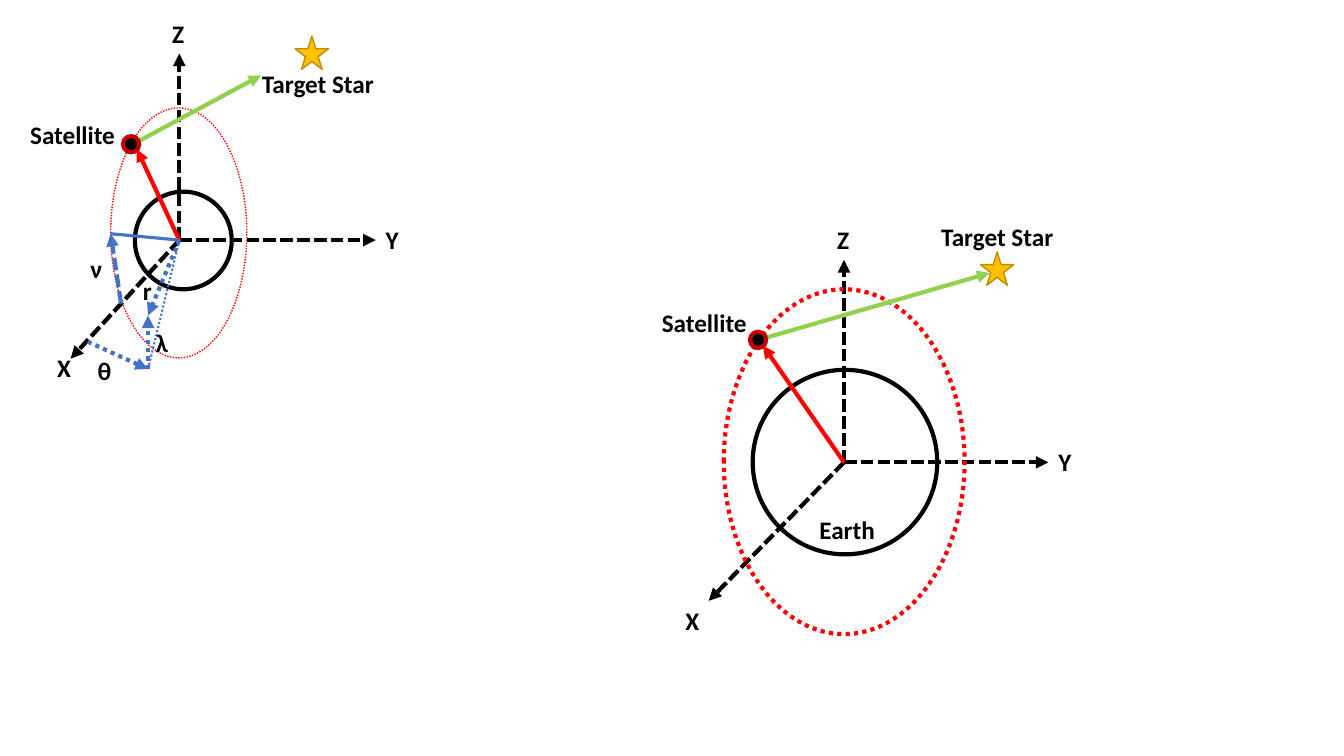
from dataclasses import dataclass

from lxml.etree import SubElement
from pptx import Presentation
from pptx.dml.color import RGBColor
from pptx.enum.dml import MSO_LINE
from pptx.enum.shapes import MSO_CONNECTOR, MSO_SHAPE as Preset
from pptx.enum.text import MSO_AUTO_SIZE
from pptx.oxml.ns import qn
from pptx.util import Cm, Pt

DASHED, DOTTED = MSO_LINE.SQUARE_DOT, MSO_LINE.ROUND_DOT


@dataclass(frozen=True)
class Theme:
    font: str = "Calibri"
    label_size: float = 18
    thick: float = 3
    medium: float = 2.25
    fine: float = 1.5
    hairline: float = 1
    ink: str = "000000"
    orbit: str = "FF0000"
    satellite_rim: str = "C00000"
    sight: str = "92D050"
    angle: str = "4472C4"
    star: str = "FFC000"
    star_rim: str = "BD8E00"


@dataclass(frozen=True)
class System:
    """Places of one orbit diagram in centimetres; labels are left, top."""
    origin: tuple
    axis_tips: dict
    axis_labels: dict
    earth: tuple
    orbit: tuple
    radius_tip: tuple
    sight: tuple
    satellite: tuple
    satellite_label: tuple
    star: tuple
    star_label: tuple


class Diagram:
    LABEL_HEIGHT = 1.03
    SATELLITE_SIZE = 0.41
    STAR_SIZE = 0.84
    LABEL_WIDTHS = {"X": 0.86, "Y": 0.84, "Z": 0.81, "Satellite": 2.67,
                    "Target Star": 3.35, "Earth": 1.93,
                    "θ": 0.86, "λ": 0.81, "r": 0.74, "ν": 0.81}

    def __init__(self, slide, theme):
        self.theme = theme
        self.shapes = slide.shapes.add_group_shape().shapes

    def style_line(self, line, color, width, dash):
        line.color.rgb = RGBColor.from_string(color)
        line.width = Pt(width)
        if dash is not None:
            line.dash_style = dash

    def outline(self, preset, box, color, width=None, fill=None, dash=None):
        shape = self.shapes.add_shape(preset, *map(Cm, box))
        shape.shadow.inherit = False
        if fill:
            shape.fill.solid()
            shape.fill.fore_color.rgb = RGBColor.from_string(fill)
        else:
            shape.fill.background()
        self.style_line(shape.line, color, width or self.theme.thick, dash)

    def line(self, start, end, color, width=None, dash=None, arrow=True):
        connector = self.shapes.add_connector(
            MSO_CONNECTOR.STRAIGHT, *map(Cm, (*start, *end)))
        self.style_line(connector.line, color, width or self.theme.thick, dash)
        properties = connector._element.spPr
        if arrow:
            SubElement(properties.find(qn("a:ln")), qn("a:tailEnd"), type="triangle")
        SubElement(properties, qn("a:effectLst"))

    def label(self, text, place):
        size = self.LABEL_WIDTHS[text], self.LABEL_HEIGHT
        frame = self.shapes.add_textbox(*map(Cm, (*place, *size))).text_frame
        frame.word_wrap = False
        frame.auto_size = MSO_AUTO_SIZE.SHAPE_TO_FIT_TEXT
        paragraph = frame.paragraphs[0]
        paragraph.text = text
        font = paragraph.font
        font.name, font.size, font.bold = self.theme.font, Pt(self.theme.label_size), True
        font.color.rgb = RGBColor.from_string(self.theme.ink)

    def system(self, system, orbit_width):
        theme = self.theme
        self.outline(Preset.OVAL, system.earth, theme.ink)
        for tip in system.axis_tips.values():
            self.line(system.origin, tip, theme.ink, dash=DASHED)
        for axis, place in system.axis_labels.items():
            self.label(axis, place)
        self.outline(Preset.OVAL, system.orbit, theme.orbit, orbit_width, dash=DOTTED)
        self.line(system.origin, system.radius_tip, theme.orbit)
        self.line(*system.sight, theme.sight)
        self.outline(Preset.OVAL, (*system.satellite, *[self.SATELLITE_SIZE] * 2),
                     theme.satellite_rim, fill=theme.ink)
        self.outline(Preset.STAR_5_POINT, (*system.star, *[self.STAR_SIZE] * 2),
                     theme.star_rim, theme.hairline, fill=theme.star)
        self.label("Satellite", system.satellite_label)
        self.label("Target Star", system.star_label)

    def orbital_angles(self, origin):
        theme = self.theme
        foot, position, node = (3.73, 9.3), (3.73, 7.95), (2.79, 5.89)
        for start, end, dash in (((2.21, 8.61), foot, DOTTED),
                                 (foot, position, DOTTED),
                                 (origin, position, DOTTED),
                                 ((3.05, 7.65), node, DASHED)):
            self.line(start, end, theme.angle, dash=dash)
        self.line(origin, foot, theme.angle, theme.fine, DOTTED, arrow=False)
        self.line(node, origin, theme.angle, theme.medium, arrow=False)
        for symbol, place in {"θ": (2.21, 8.84), "λ": (3.68, 8.13),
                              "r": (3.35, 6.81), "ν": (2.03, 6.27)}.items():
            self.label(symbol, place)


ANGLES_SYSTEM = System(
    origin=(4.52, 6.05),
    axis_tips={"X": (1.78, 9.04), "Y": (9.47, 6.05), "Z": (4.52, 1.35)},
    axis_labels={"X": (1.19, 8.76), "Y": (9.47, 5.54), "Z": (4.09, 0.33)},
    earth=(3.4, 4.83, 2.44, 2.46),
    orbit=(2.79, 2.72, 3.43, 6.3),
    radius_tip=(3.45, 3.76),
    sight=((3.3, 3.66), (6.58, 1.9)),
    satellite=(3.1, 3.43),
    satellite_label=(0.51, 2.87),
    star=(7.44, 0.91),
    star_label=(6.35, 1.6),
)
EARTH_SYSTEM = System(
    origin=(21.27, 11.65),
    axis_tips={"X": (17.86, 15.14), "Y": (26.42, 11.65), "Z": (21.27, 6.55)},
    axis_labels={"X": (17.02, 15.14), "Y": (26.42, 11.13), "Z": (20.85, 5.54)},
    earth=(18.97, 9.32, 4.65, 4.65),
    orbit=(18.24, 7.29, 6.07, 8.69),
    radius_tip=(19.23, 8.71),
    sight=((19.13, 8.56), (24.94, 6.88)),
    satellite=(18.9, 8.36),
    satellite_label=(16.43, 7.62),
    star=(24.71, 6.35),
    star_label=(23.47, 5.46),
)


def main():
    theme = Theme()
    deck = Presentation()
    deck.slide_width, deck.slide_height = Cm(33.87), Cm(19.05)
    slide = deck.slides.add_slide(deck.slide_layouts.get_by_name("Blank"))

    angles = Diagram(slide, theme)
    angles.system(ANGLES_SYSTEM, theme.hairline)
    angles.orbital_angles(ANGLES_SYSTEM.origin)

    earth = Diagram(slide, theme)
    earth.system(EARTH_SYSTEM, theme.thick)
    earth.label("Earth", (20.4, 12.83))

    deck.save("out.pptx")


if __name__ == "__main__":
    main()
